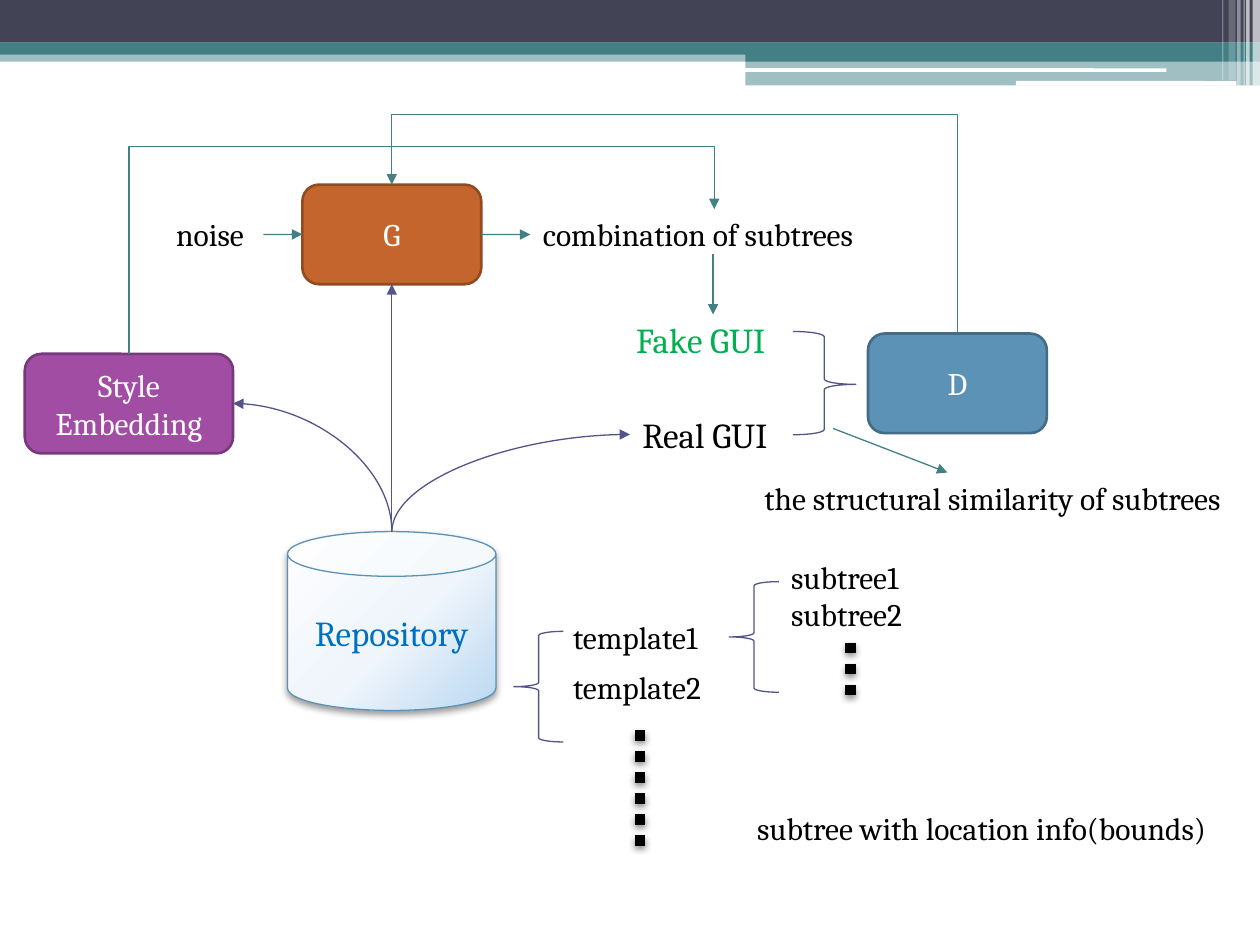
"""Build a slide showing how a GUI generator, discriminator and repository connect."""
from dataclasses import dataclass
from typing import Optional

from lxml import etree
from pptx import Presentation
from pptx.dml.color import RGBColor
from pptx.enum import dml, shapes, text
from pptx.oxml import parse_xml
from pptx.oxml.ns import nsdecls, qn
from pptx.util import Pt

KIND = shapes.MSO_SHAPE
LINK = shapes.MSO_CONNECTOR


@dataclass(frozen=True)
class Theme:
    font: str = "Cambria"
    body: int = 18
    large: int = 20
    thin: float = 0.75
    edge: float = 1.5
    dot: float = 6
    white: str = "FFFFFF"
    black: str = "000000"
    navy: str = "424456"
    teal: str = "438086"
    violet: str = "53548A"
    green: str = "00B050"
    blue: str = "0070C0"
    steel: str = "5C92B5"
    glow: tuple = ((0, "FEFEFF"), (55, "EFF5FB"), (100, "BAD8F2"))


@dataclass(frozen=True)
class Band:
    x: float
    y: float
    w: float
    h: float
    fill: str
    alpha: int = 100
    kind: int = KIND.RECTANGLE


@dataclass(frozen=True)
class Node:
    words: str
    x: float
    y: float
    w: float
    h: float
    fill: str
    edge: str


@dataclass(frozen=True)
class Label:
    words: str
    x: float
    y: float
    w: float
    size: int = Theme.body
    color: str = Theme.black


@dataclass(frozen=True)
class Brace:
    x: float
    y: float
    w: float
    h: float
    turn: int = 0
    mid: float = 0.5


@dataclass(frozen=True)
class Wire:
    x1: float
    y1: float
    x2: float
    y2: float
    color: str = Theme.teal
    start: Optional[tuple] = None
    end: Optional[tuple] = None


@dataclass(frozen=True)
class Route:
    x1: float
    y1: float
    x2: float
    y2: float
    color: str
    peak: Optional[float] = None


T = Theme()
TOP = [
    Band(0, 28.8, 720, 6.5, T.teal, 50),
    Band(0, 0, 720, 24.4, T.navy),
    Band(0, 24.2, 720, 7.1, T.teal),
    Band(426, 28, 294, 7.2, T.teal),
    Band(426, 35, 294, 13.8, T.teal, 50),
    Band(425.5, 39, 241, 2, T.white, kind=KIND.ROUNDED_RECTANGLE),
    Band(580.5, 46.3, 126, 2.7, T.white, kind=KIND.ROUNDED_RECTANGLE),
]
BARS = [Band(x, 0, w, h, T.white, a) for x, w, h, a in (
    (715.8, 4.2, 49, 65), (712.1, 2, 49, 65), (710.6, 0.7, 49, 60),
    (707, 2, 49, 40), (702, 4, 46, 20), (698.4, 0.7, 46, 30))]
NODES = [
    Node("G", 172.8, 105.5, 102.2, 56.9, "C4652D", "914B21"),
    Node("D", 496, 190.6, 102.2, 56.9, T.steel, "446C86"),
    Node("Style Embedding", 14.2, 202.2, 119, 56.9, "A04DA3", "763979"),
]
LABELS = [
    Label("noise", 93.6, 119.5, 56.9),
    Label("combination of subtrees", 303.1, 119.5, 209.5),
    Label("Fake GUI", 356.4, 178.6, 102.2, T.large, T.green),
    Label("Real GUI", 360, 232.6, 102.2, T.large),
    Label("template1", 320.4, 349.5, 108),
    Label("template2", 320.4, 378, 108),
    Label("subtree1", 445, 315.4, 108),
    Label("subtree2", 445, 336.3, 108),
    Label("subtree with location info(bounds)", 425.5, 458.6, 291.6),
    Label("the structural similarity of subtrees", 429.8, 270, 304.6),
]
BRACES = [
    Brace(416.7, 332.4, 28.4, 63.2),
    Brace(293.6, 360.8, 28.4, 63.2),
    Brace(453, 189.4, 36, 59, 180, 0.488),
]
WIRES = [
    Wire(150.5, 134, 172.8, 134, end=("G", 1)),
    Wire(275, 134, 303.1, 134, start=("G", 3)),
    Wire(223.9, 303.8, 223.9, 162.4, T.violet, end=("G", 2)),
    Wire(407.5, 145.4, 407.5, 179.7),
    Wire(476, 244.8, 541.4, 270),
]
DOTS = [(365.8, 417.3, 485.3), (486, 367.2, 401)]
ROUTES = [
    Route(547.1, 190.6, 223.9, 105.5, T.teal, 65.4),
    Route(73.7, 202.2, 408.2, 119.5, T.teal, 83.7),
    Route(223.9, 303.8, 360, 248.3, T.violet),
    Route(223.9, 303.8, 133.2, 230.6, T.violet),
]


def hue(code: str) -> RGBColor:
    """Turn a hex code into a colour."""
    return RGBColor.from_string(code)


def shade(list_, alpha: int, blur: float) -> None:
    """Put a soft shadow below into an effect list."""
    list_.append(parse_xml(
        f'<a:outerShdw {nsdecls("a")} blurRad="{Pt(blur)}" dist="{Pt(2)}" dir="5400000" rotWithShape="0">'
        f'<a:srgbClr val="{T.black}"><a:alpha val="{alpha * 1000}"/></a:srgbClr></a:outerShdw>'))


def write(frame, words: str, size: int, color: str) -> None:
    """Set and format the words of a text frame."""
    frame.word_wrap = True
    frame.text = words
    font = frame.paragraphs[0].runs[0].font
    font.name, font.size, font.color.rgb = T.font, Pt(size), hue(color)


def block(page, kind: int, x: float, y: float, w: float, h: float,
          fill: Optional[str] = None, edge: Optional[str] = None, width: float = T.thin):
    """Add a flat preset shape."""
    item = page.add_shape(kind, Pt(x), Pt(y), Pt(w), Pt(h))
    item.shadow.inherit = False
    if fill:
        item.fill.solid()
        item.fill.fore_color.rgb = hue(fill)
    else:
        item.fill.background()
    if edge:
        item.line.color.rgb, item.line.width = hue(edge), Pt(width)
    else:
        item.line.fill.background()
    return item


def center(item, words: str, size: int, color: str) -> None:
    """Write centred words in a shape."""
    write(item.text_frame, words, size, color)
    item.text_frame.vertical_anchor = text.MSO_ANCHOR.MIDDLE
    item.text_frame.paragraphs[0].alignment = text.PP_ALIGN.CENTER


def band(page, b: Band) -> None:
    """Draw one header band."""
    item = block(page, b.kind, b.x, b.y, b.w, b.h, b.fill)
    if b.alpha < 100:
        color = item.fill._xPr.find(qn("a:solidFill"))[0]
        etree.SubElement(color, qn("a:alpha")).set("val", str(b.alpha * 1000))


def node(page, n: Node):
    """Draw one rounded model box."""
    item = block(page, KIND.ROUNDED_RECTANGLE, n.x, n.y, n.w, n.h, n.fill, n.edge, T.edge)
    center(item, n.words, T.body, T.white)
    return item


def label(page, l: Label) -> None:
    """Draw one free label."""
    box = page.add_textbox(Pt(l.x), Pt(l.y), Pt(l.w), Pt(l.size * 1.6))
    write(box.text_frame, l.words, l.size, l.color)


def store(page) -> None:
    """Draw the repository cylinder."""
    can = block(page, KIND.CAN, 164.3, 303.8, 119.1, 102.2, edge=T.steel)
    props = can._element.spPr
    stops = "".join(f'<a:gs pos="{p * 1000}"><a:srgbClr val="{c}"/></a:gs>' for p, c in T.glow)
    props.replace(props.find(qn("a:noFill")), parse_xml(
        f'<a:gradFill {nsdecls("a")} rotWithShape="1"><a:gsLst>{stops}</a:gsLst><a:path path="circle">'
        '<a:fillToRect l="-40000" t="-90000" r="140000" b="190000"/></a:path></a:gradFill>'))
    shade(props.find(qn("a:effectLst")), 40, 4.1)
    center(can, "Repository", T.large, T.blue)


def brace(page, b: Brace) -> None:
    """Draw one brace."""
    item = block(page, KIND.LEFT_BRACE, b.x, b.y, b.w, b.h, edge=T.violet)
    item.rotation = b.turn
    item.adjustments[1] = b.mid


def link(page, kind: int, ends: tuple, color: str, width: float = T.thin, arrow: bool = True):
    """Add a connector and return it with its effect list."""
    item = page.add_connector(kind, *map(Pt, ends))
    item.line.color.rgb, item.line.width = hue(color), Pt(width)
    if arrow:
        etree.SubElement(item.line._get_or_add_ln(), qn("a:tailEnd")).set("type", "triangle")
    return item, etree.SubElement(item._element.spPr, qn("a:effectLst"))


def wire(page, w: Wire, nodes: dict) -> None:
    """Draw one straight arrow, joined where it meets a node."""
    item, _ = link(page, LINK.STRAIGHT, (w.x1, w.y1, w.x2, w.y2), w.color)
    if w.start:
        item.begin_connect(nodes[w.start[0]], w.start[1])
    if w.end:
        item.end_connect(nodes[w.end[0]], w.end[1])


def dots(page, x: float, y1: float, y2: float) -> None:
    """Draw a column of square dots."""
    item, list_ = link(page, LINK.STRAIGHT, (x, y1, x, y2), T.black, T.dot, False)
    item.line.dash_style = dml.MSO_LINE.ROUND_DOT
    shade(list_, 45, 4)


def route(page, r: Route) -> None:
    """Draw an arrow that leaves upwards, bent over a peak or curved."""
    w, h = r.y1 - r.y2, abs(r.x2 - r.x1)
    x, y = (r.x1 + r.x2 - w) / 2, (r.y1 + r.y2 - h) / 2
    kind = LINK.CURVE if r.peak is None else LINK.ELBOW
    item, _ = link(page, kind, (x, y, x + w, y + h), r.color)
    form = item._element.spPr.find(qn("a:xfrm"))
    right = r.x2 > r.x1
    form.set("rot", str((90 if right else 270) * 60000))
    form.set("flipV", "1")
    if right:
        form.set("flipH", "1")
    shape = item._element.spPr.find(qn("a:prstGeom"))
    if r.peak is None:
        shape.set("prst", "curvedConnector2")
    else:
        guide = etree.SubElement(shape.find(qn("a:avLst")), qn("a:gd"))
        guide.set("name", "adj1")
        guide.set("fmla", f"val {round((r.y1 - r.peak) / w * 100000)}")


def main() -> None:
    """Build and save the slide."""
    deck = Presentation()
    deck.slide_width, deck.slide_height = Pt(720), Pt(540)
    page = deck.slides.add_slide(deck.slide_layouts[6]).shapes
    for b in TOP + BARS:
        band(page, b)
    nodes = {n.words: node(page, n) for n in NODES}
    store(page)
    for l in LABELS:
        label(page, l)
    for b in BRACES:
        brace(page, b)
    for w in WIRES:
        wire(page, w, nodes)
    for d in DOTS:
        dots(page, *d)
    for r in ROUTES:
        route(page, r)
    deck.save("out.pptx")


if __name__ == "__main__":
    main()
